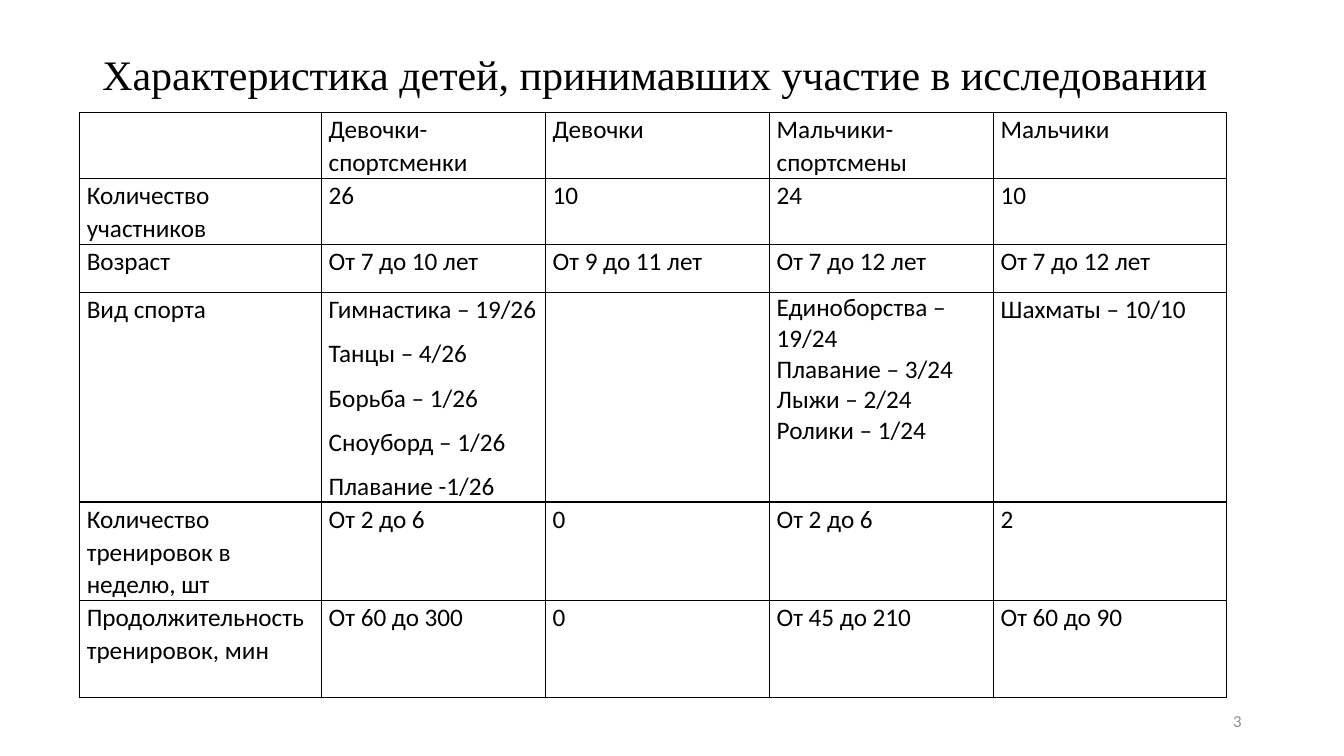
from dataclasses import dataclass

from lxml.etree import SubElement
from pptx import Presentation
from pptx.dml.color import RGBColor
from pptx.enum.text import MSO_ANCHOR, PP_ALIGN
from pptx.oxml.ns import qn
from pptx.slide import Slide
from pptx.table import _Cell as Cell
from pptx.text.text import _Paragraph as Paragraph
from pptx.util import Pt

BLACK = RGBColor(0x00, 0x00, 0x00)
GRAY = RGBColor(0x8C, 0x8C, 0x8C)
BORDER_SIDES = ("a:lnL", "a:lnR", "a:lnT", "a:lnB")
COLUMN_WIDTHS = (172.8, 160, 160, 160, 166.5)


@dataclass(frozen=True)
class Label:
    text: str
    left: float
    top: float
    width: float
    height: float
    font: str
    size: float
    color: RGBColor
    align: PP_ALIGN
    line_spacing: float = 1.0


@dataclass(frozen=True)
class TableRow:
    height: float
    texts: tuple[str, ...]


LABELS = (
    Label("Характеристика детей, принимавших участие в исследовании",
          66, 28.75, 828, 52, "Times New Roman", 30, BLACK, PP_ALIGN.LEFT, 0.9),
    Label("3", 678, 500.5, 216, 28.75, "Calibri", 12, GRAY, PP_ALIGN.RIGHT),
)

SPORTS_GIRLS = "Гимнастика – 19/26\nТанцы – 4/26\nБорьба – 1/26\nСноуборд – 1/26\nПлавание -1/26"
SPORTS_BOYS = "Единоборства – 19/24\nПлавание – 3/24\nЛыжи – 2/24\nРолики – 1/24"

ROWS = (
    TableRow(42.5, ("", "Девочки-спортсменки", "Девочки", "Мальчики-спортсмены", "Мальчики")),
    TableRow(42.5, ("Количество участников", "26", "10", "24", "10")),
    TableRow(34.5, ("Возраст", "От 7 до 10 лет", "От 9 до 11 лет",
                    "От 7 до 12 лет", "От 7 до 12 лет")),
    TableRow(138, ("Вид спорта", SPORTS_GIRLS, "", SPORTS_BOYS, "Шахматы – 10/10")),
    TableRow(65, ("Количество тренировок в неделю, шт", "От 2 до 6", "0", "От 2 до 6", "2")),
    TableRow(69, ("Продолжительность тренировок, мин", "От 60 до 300", "0",
                  "От 45 до 210", "От 60 до 90")),
)


def add_span(para: Paragraph, text: str, font: str, size: float, color: RGBColor) -> None:
    span = para.add_run()
    span.text = text
    span.font.name = font
    span.font.size = Pt(size)
    span.font.color.rgb = color


def add_label(page: Slide, label: Label) -> None:
    box = page.shapes.add_textbox(Pt(label.left), Pt(label.top), Pt(label.width), Pt(label.height))
    frame = box.text_frame
    frame.word_wrap = True
    frame.vertical_anchor = MSO_ANCHOR.MIDDLE
    para = frame.paragraphs[0]
    para.alignment = label.align
    para.line_spacing = label.line_spacing
    add_span(para, label.text, label.font, label.size, label.color)


def add_borders(cell: Cell) -> None:
    properties = cell._tc.get_or_add_tcPr()
    for side in BORDER_SIDES:
        line = SubElement(properties, qn(side), w=str(Pt(1)))
        fill = SubElement(line, qn("a:solidFill"))
        SubElement(fill, qn("a:srgbClr"), val=str(BLACK))


def fill_cell(cell: Cell, text: str) -> None:
    """Write one paragraph per line of text and outline the cell."""
    cell.margin_left = cell.margin_right = Pt(5)
    cell.margin_top = cell.margin_bottom = Pt(0)
    add_borders(cell)
    cell.fill.background()
    if not text:
        return
    frame = cell.text_frame
    for index, line in enumerate(text.split("\n")):
        para = frame.add_paragraph() if index else frame.paragraphs[0]
        if text != SPORTS_BOYS:
            para.line_spacing = 1.07
            para.space_after = Pt(8)
        add_span(para, line, "Calibri", 18, BLACK)


def add_children_table(page: Slide) -> None:
    height = sum(row.height for row in ROWS)
    table = page.shapes.add_table(len(ROWS), len(COLUMN_WIDTHS), Pt(57), Pt(80.5),
                                  Pt(sum(COLUMN_WIDTHS)), Pt(height)).table
    table.first_row = table.horz_banding = False
    for column, width in zip(table.columns, COLUMN_WIDTHS):
        column.width = Pt(width)
    for table_row, row in zip(table.rows, ROWS):
        table_row.height = Pt(row.height)
        for cell, text in zip(table_row.cells, row.texts):
            fill_cell(cell, text)


def main() -> None:
    deck = Presentation()
    deck.slide_width, deck.slide_height = Pt(960), Pt(540)
    page = deck.slides.add_slide(deck.slide_layouts[6])
    add_children_table(page)
    for label in LABELS:
        add_label(page, label)
    deck.save("out.pptx")


if __name__ == "__main__":
    main()
